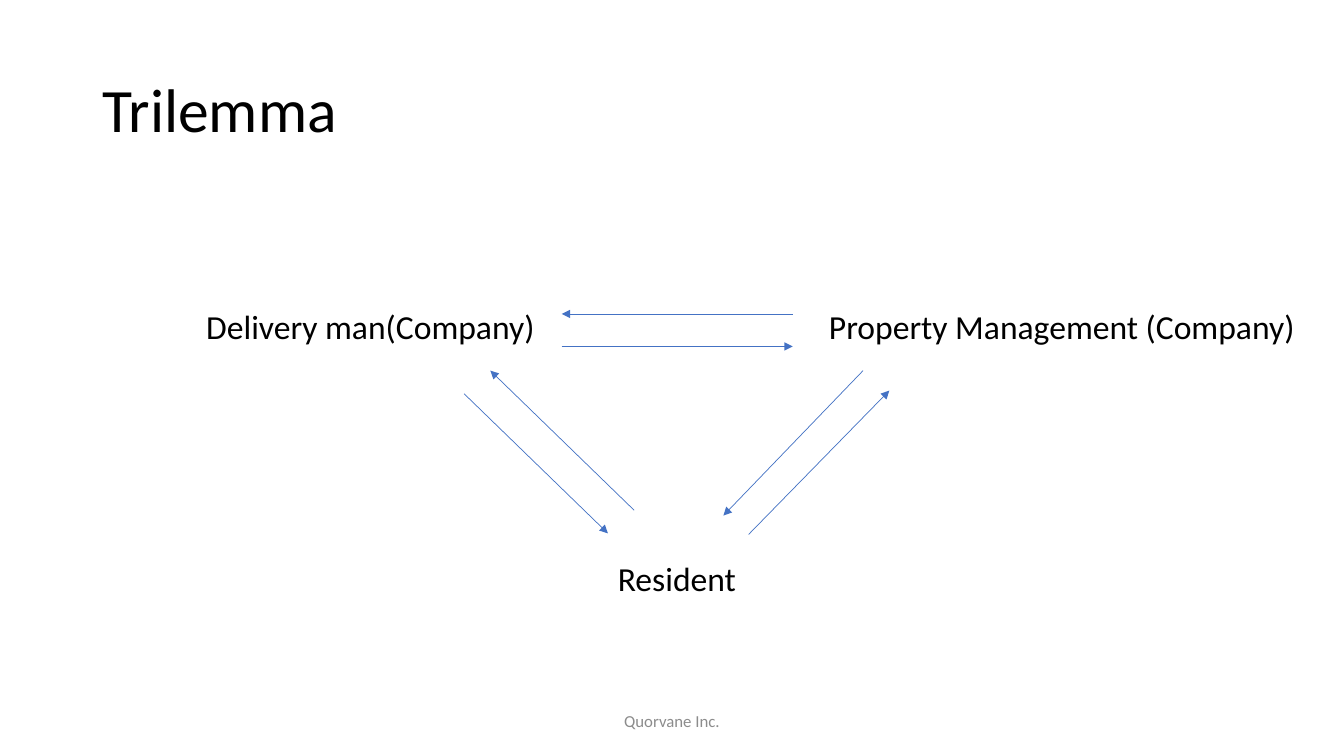
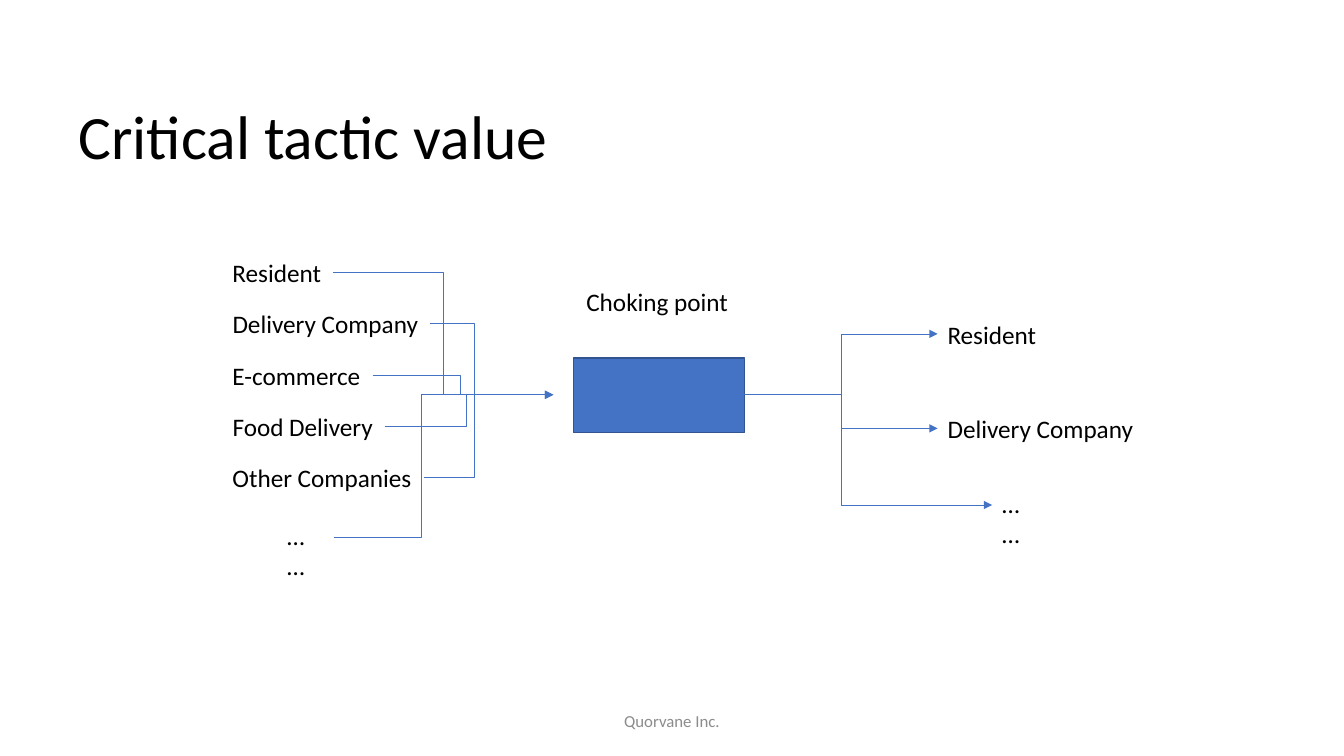
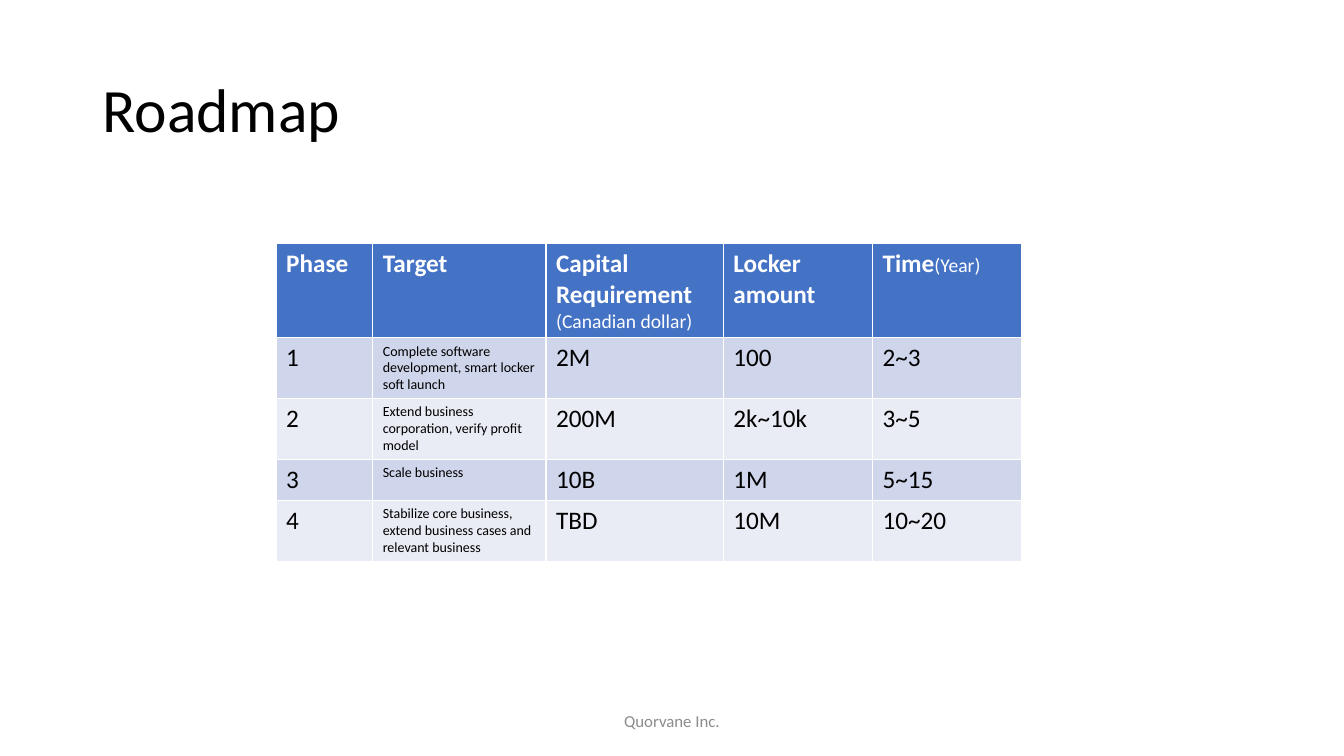
from pptx import Presentation
from pptx.dml.color import RGBColor
from pptx.enum.shapes import MSO_CONNECTOR, MSO_SHAPE
from pptx.enum.text import MSO_ANCHOR, MSO_AUTO_SIZE, PP_ALIGN
from pptx.oxml.ns import qn
from pptx.util import Pt
from lxml.etree import SubElement

PX = 9525
BLACK = RGBColor(0x00, 0x00, 0x00)
WHITE = RGBColor(0xFF, 0xFF, 0xFF)
GRAY = RGBColor(0x8C, 0x8C, 0x8C)
BLUE = RGBColor(0x44, 0x72, 0xC4)
NAVY = RGBColor(0x32, 0x54, 0x91)
BANDS = [RGBColor(0xCF, 0xD5, 0xEA), RGBColor(0xE9, 0xEB, 0xF5)]

TITLE = {"vertical_anchor": MSO_ANCHOR.MIDDLE, "word_wrap": True}
LABEL = {"word_wrap": False, "auto_size": MSO_AUTO_SIZE.SHAPE_TO_FIT_TEXT}
TITLE_BOX = (88, 38, 1104, 139)
FOOT_BOX = (424, 667, 432, 38)
ROW_H = 38


def px(*nums):
    return [n * PX for n in nums]


def style(item, form):
    for name, value in form.items():
        setattr(item, name, value)


def write(para, text, size, color=BLACK, bold=False):
    run = para.add_run()
    run.text = text
    style(run.font, {"name": "Calibri", "size": Pt(size), "bold": bold})
    run.font.color.rgb = color


def add_page(deck, title, box=TITLE_BOX):
    """Add a slide with the shared title style and footer."""
    slide = deck.slides.add_slide(deck.slide_layouts[5])
    head = slide.shapes.title
    style(head, dict(zip(("left", "top", "width", "height"), px(*box))))
    style(head.text_frame, TITLE)
    para = head.text_frame.paragraphs[0]
    style(para, {"alignment": PP_ALIGN.LEFT, "line_spacing": 0.9})
    write(para, title, 44)

    frame = slide.shapes.add_textbox(*px(*FOOT_BOX)).text_frame
    style(frame, TITLE)
    foot = frame.paragraphs[0]
    foot.alignment = PP_ALIGN.CENTER
    write(foot, "Quorvane Inc.", 12, GRAY)
    return slide


def add_label(slide, text, box, size=18):
    frame = slide.shapes.add_textbox(*px(*box)).text_frame
    style(frame, LABEL)
    write(frame.paragraphs[0], text, size)
    return frame


def add_dots(slide, left, top):
    """Add an ellipsis whose letters are stacked."""
    frame = add_label(slide, "……", (left, top, 54, 43))
    frame._txBody.bodyPr.set("vert", "wordArtVert")


def add_link(slide, start, end, bend=None, arrow=True):
    """Draw a line; bend is the share of the width where an elbow turns."""
    kind = MSO_CONNECTOR.STRAIGHT if bend is None else MSO_CONNECTOR.ELBOW
    link = slide.shapes.add_connector(kind, *px(*start, *end))
    link.line.color.rgb = BLUE
    link.line.width = Pt(0.5)
    props = link.element.spPr
    if bend is not None:
        guides = props.find(qn("a:prstGeom")).get_or_add_avLst()
        SubElement(guides, qn("a:gd"), name="adj1",
                   fmla=f"val {round(bend * 100000)}")
    if arrow:
        SubElement(props.find(qn("a:ln")), qn("a:tailEnd"), type="triangle")
    SubElement(props, qn("a:effectLst"))


def build_triangle(deck):
    slide = add_page(deck, "Trilemma")
    for text, box in (
        ("Resident", (579, 527, 133, 48)),
        ("Delivery man(Company)", (187, 287, 335, 48)),
        ("Property Management (Company)", (780, 287, 468, 48)),
    ):
        add_label(slide, text, box, 24)
    for start, end in (
        ((535, 330), (755, 330)), ((755, 299), (535, 299)),
        ((442, 375), (579, 508)), ((604, 486), (467, 353)),
        ((822, 353), (689, 491)), ((713, 509), (847, 372)),
    ):
        add_link(slide, start, end)


def build_flow(deck):
    slide = add_page(deck, "Critical tactic value", (65, 63, 568, 139))
    left, top, wide, high = 546, 341, 163, 71
    mid = top + high // 2
    block = slide.shapes.add_shape(MSO_SHAPE.RECTANGLE,
                                   *px(left, top, wide, high))
    block.shadow.inherit = False
    block.fill.solid()
    block.fill.fore_color.rgb = BLUE
    block.line.color.rgb = NAVY
    block.line.width = Pt(1)
    add_label(slide, "Choking point", (549, 268, 156, ROW_H))

    sources = (
        ("Resident", 105, 527, 0.5, True),
        ("Delivery Company", 198, 452, 1, False),
        ("E-commerce", 143, 521, 0.5, False),
        ("Food Delivery", 155, 521, 0.5, False),
        ("Other Companies", 192, 452, 1, False),
    )
    for i, (text, width, stop, bend, arrow) in enumerate(sources):
        y = 240 + 49 * i
        add_label(slide, text, (212, y, width, ROW_H))
        add_link(slide, (212 + width, y + ROW_H // 2), (stop, mid),
                 bend, arrow)
    add_dots(slide, 264, 491)
    add_link(slide, (318, 512), (527, mid), 0.4)

    port = (left + wide, mid)
    for text, width, y in (("Resident", 105, 299),
                           ("Delivery Company", 198, 389)):
        add_label(slide, text, (893, y, width, ROW_H))
        add_link(slide, port, (893, y + ROW_H // 2), 0.5)
    add_dots(slide, 945, 460)
    add_link(slide, port, (945, 481), 0.39)


def build_table(deck):
    slide = add_page(deck, "Roadmap")
    heads = (("Phase", ""), ("Target", ""),
             ("Capital Requirement ", "(Canadian dollar)"),
             ("Locker amount", ""), ("Time", "(Year)"))
    rows = (
        ("1", "Complete software development, smart locker soft launch",
         "2M", "100", "2~3"),
        ("2", "Extend business corporation, verify profit model",
         "200M", "2k~10k", "3~5"),
        ("3", "Scale business", "10B", "1M", "5~15"),
        ("4", "Stabilize core business, extend business cases and "
         "relevant business", "TBD", "10M", "10~20"),
    )
    widths = (92, 165, 169, 142, 142)
    heights = (89, 58, 58, 39, 58)
    table = slide.shapes.add_table(
        len(heights), len(widths),
        *px(263, 232, sum(widths), sum(heights))).table
    for col, width in zip(table.columns, px(*widths)):
        col.width = width
    for row, height in zip(table.rows, px(*heights)):
        row.height = height

    def paint(r, c, color):
        cell = table.cell(r, c)
        cell.fill.solid()
        cell.fill.fore_color.rgb = color
        return cell.text_frame.paragraphs[0]

    for c, (name, unit) in enumerate(heads):
        para = paint(0, c, BLUE)
        write(para, name, 18, WHITE, True)
        if unit:
            write(para, unit, 14, WHITE)
    for r, row in enumerate(rows, 1):
        for c, text in enumerate(row):
            write(paint(r, c, BANDS[(r - 1) % 2]), text, 10 if c == 1 else 18)


def main():
    deck = Presentation()
    deck.slide_width, deck.slide_height = px(1280, 720)
    build_triangle(deck)
    build_flow(deck)
    build_table(deck)
    deck.save("out.pptx")


if __name__ == "__main__":
    main()
